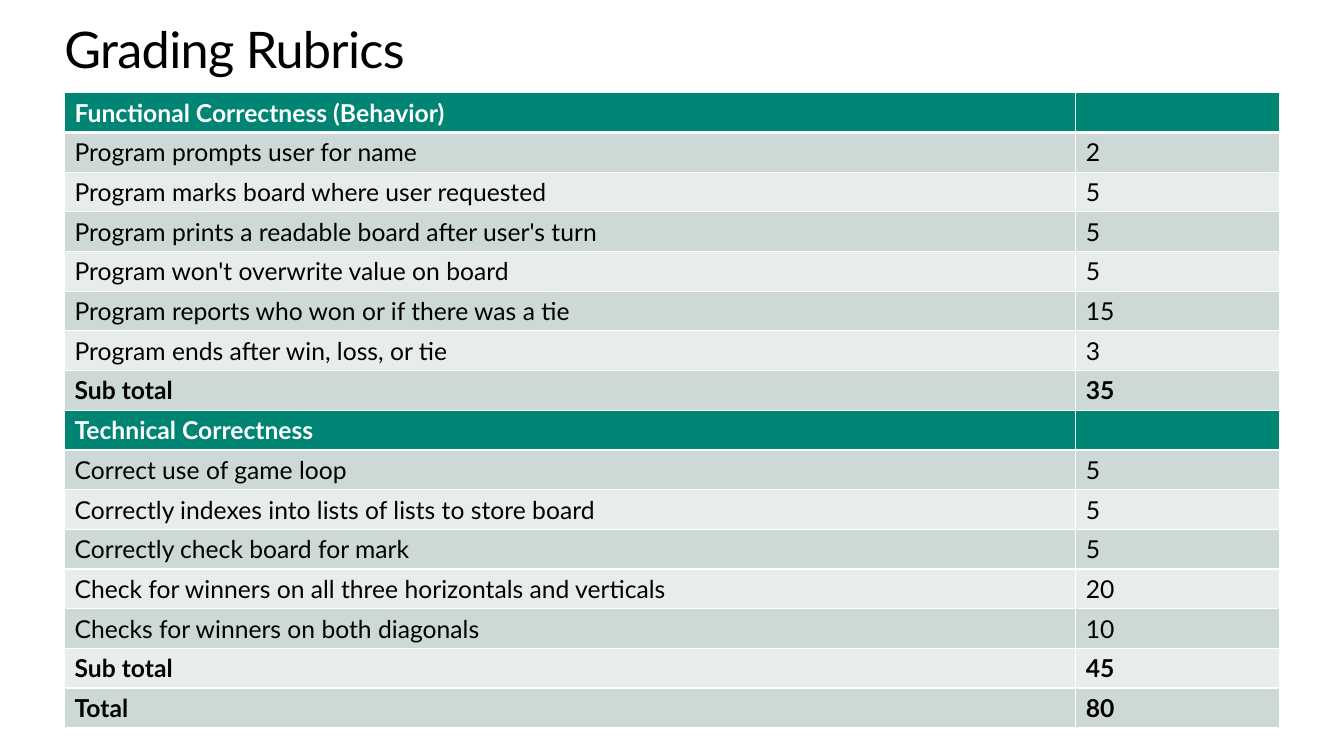
from lxml import etree
from pptx import Presentation, util as u
from pptx.dml.color import RGBColor
from pptx.enum import text
from pptx.oxml import ns

GREEN = RGBColor(0x00, 0x85, 0x75)
DARK_BAND = RGBColor(0xCC, 0xD9, 0xD6)
LIGHT_BAND = RGBColor(0xE7, 0xED, 0xEC)
WHITE = RGBColor(0xFF, 0xFF, 0xFF)
BLACK = RGBColor(0x00, 0x00, 0x00)

HEADINGS = {"Functional Correctness (Behavior)", "Technical Correctness"}
TOTALS = {"Sub total", "Total"}
RUBRIC = [
    ("Functional Correctness (Behavior)", ""),
    ("Program prompts user for name", "2"),
    ("Program marks board where user requested", "5"),
    ("Program prints a readable board after user's turn", "5"),
    ("Program won't overwrite value on board", "5"),
    ("Program reports who won or if there was a tie", "15"),
    ("Program ends after win, loss, or tie", "3"),
    ("Sub total", "35"),
    ("Technical Correctness", ""),
    ("Correct use of game loop", "5"),
    ("Correctly indexes into lists of lists to store board", "5"),
    ("Correctly check board for mark", "5"),
    ("Check for winners on all three horizontals and verticals", "20"),
    ("Checks for winners on both diagonals", "10"),
    ("Sub total", "45"),
    ("Total", "80"),
]


def write(tf, content, font="Lato", size=17.6, color=BLACK, bold=False, spacing=None):
    p = tf.paragraphs[0]
    if not content:
        end = etree.SubElement(p._p, ns.qn("a:endParaRPr"), sz=str(round(size * 100)))
        etree.SubElement(end, ns.qn("a:latin"), typeface=font)
        return
    r = p.add_run()
    r.text = content
    r.font.name, r.font.size, r.font.bold = font, u.Pt(size), bold
    r.font.color.rgb = color
    if spacing is not None:
        r._r.get_or_add_rPr().set("spc", str(round(spacing * 100)))


def set_borders(cell, color=WHITE, **widths):
    tcPr = cell._tc.get_or_add_tcPr()
    for i, side in enumerate("LRTB"):
        ln = etree.Element(ns.qn(f"a:ln{side}"), w=str(u.Pt(widths.get(side, 1))))
        fill = etree.SubElement(ln, ns.qn("a:solidFill"))
        etree.SubElement(fill, ns.qn("a:srgbClr"), val=str(color))
        tcPr.insert(i, ln)


class Deck:
    def __init__(self, width=13.33, height=7.5):
        self.prs = Presentation()
        self.prs.slide_width, self.prs.slide_height = u.Inches(width), u.Inches(height)
        self.s = self.prs.slides.add_slide(self.prs.slide_layouts[6])

    def x(self, percent):
        return round(self.prs.slide_width * percent / 100)

    def y(self, percent):
        return round(self.prs.slide_height * percent / 100)

    def title(self, content, left, top, width, height):
        sp = self.s.shapes.add_textbox(self.x(left), self.y(top), self.x(width), self.y(height))
        tf = sp.text_frame
        tf.word_wrap = True
        tf.margin_left = tf.margin_right = tf.margin_top = tf.margin_bottom = 0
        write(tf, content, size=36, spacing=-0.5)

    def table(self, rows, left, top, columns, row_height):
        frame = self.s.shapes.add_table(
            len(rows), len(columns), self.x(left), self.y(top),
            self.x(sum(columns)), self.y(row_height * len(rows)))
        table = frame.table
        for column, width in zip(table.columns, columns):
            column.width = self.x(width)
        for i, row in enumerate(rows):
            heading = row[0] in HEADINGS
            band = GREEN if heading else DARK_BAND if i % 2 else LIGHT_BAND
            for j, content in enumerate(row):
                cell = table.cell(i, j)
                cell.vertical_anchor = text.MSO_ANCHOR.MIDDLE
                cell.fill.solid()
                cell.fill.fore_color.rgb = band
                set_borders(cell, T=3 if i == 1 else 1, B=3 if i == 0 else 1)
                write(cell.text_frame, content, color=WHITE if heading else BLACK,
                      bold=heading or row[0] in TOTALS)


def main():
    deck = Deck()
    deck.title("Grading Rubrics", left=4.8, top=2.4, width=90.4, height=8.13)
    deck.table(RUBRIC, left=4.8, top=12.27, columns=(75.25, 15.15), row_height=5.24)
    deck.prs.save("out.pptx")


if __name__ == "__main__":
    main()
